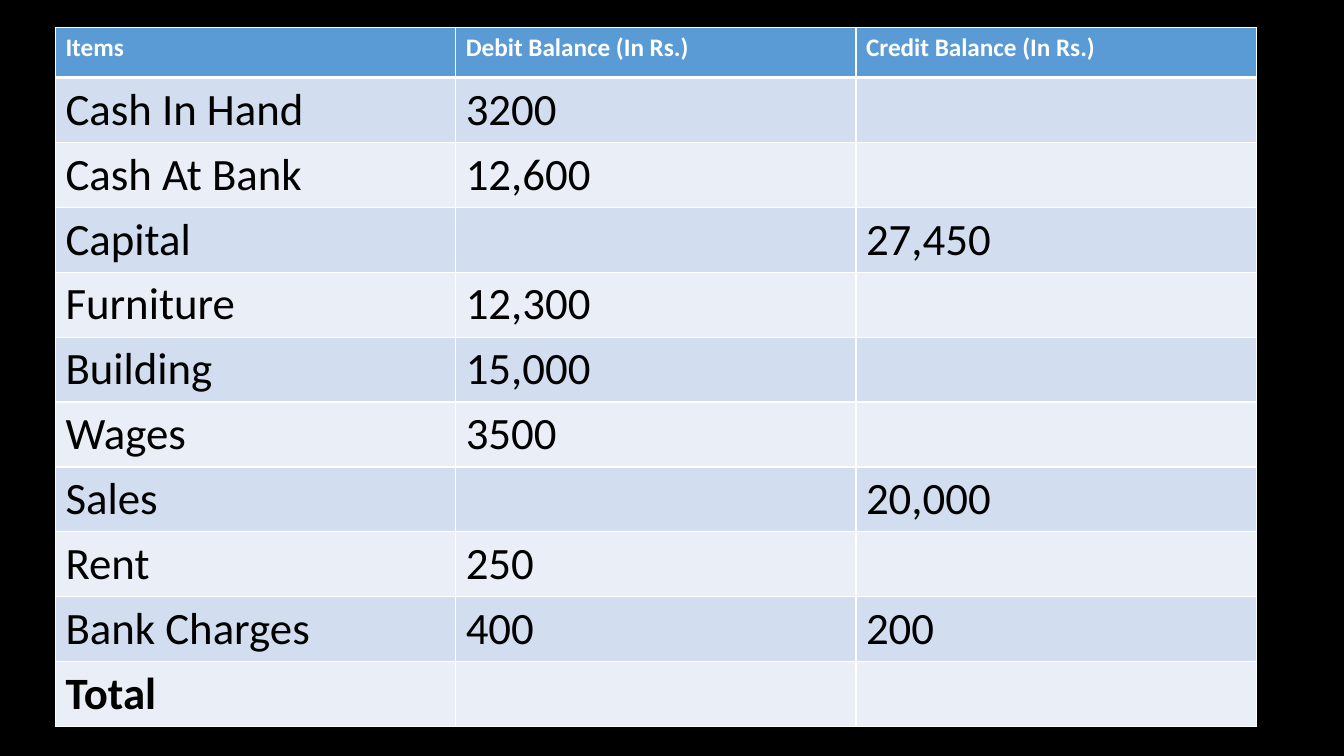
"""Builds a trial balance table slide on a black background."""
from lxml import etree
from pptx import Presentation
from pptx.dml.color import RGBColor
from pptx.oxml.ns import qn
from pptx.util import Inches, Pt

BLACK = RGBColor(0x00, 0x00, 0x00)
WHITE = RGBColor(0xFF, 0xFF, 0xFF)
HEADER_BLUE = RGBColor(0x5B, 0x9B, 0xD5)
BANDS = [RGBColor(0xEA, 0xEF, 0xF7), RGBColor(0xD2, 0xDE, 0xEF)]

BALANCES = [
    ("Items", "Debit Balance (In Rs.)", "Credit Balance (In Rs.)"),
    ("Cash In Hand", "3200", ""),
    ("Cash At Bank", "12,600", ""),
    ("Capital", "", "27,450"),
    ("Furniture", "12,300", ""),
    ("Building", "15,000", ""),
    ("Wages", "3500", ""),
    ("Sales", "", "20,000"),
    ("Rent", "250", ""),
    ("Bank Charges", "400", "200"),
    ("Total", "", ""),
]
HEADER_HEIGHT, ROW_HEIGHT, COL_WIDTH = 0.5, 0.64, 3.97
TOTAL_ROW = len(BALANCES) - 1


def add_border(cell, side, width):
    ln = etree.SubElement(cell._tc.get_or_add_tcPr(), qn(f"a:ln{side}"), w=str(Pt(width)))
    fill = etree.SubElement(ln, qn("a:solidFill"))
    etree.SubElement(fill, qn("a:srgbClr"), val=str(WHITE))


prs = Presentation()
prs.slide_width, prs.slide_height = Inches(13.33), Inches(7.5)
s = prs.slides.add_slide(prs.slide_layouts[6])
s.background.fill.solid()
s.background.fill.fore_color.rgb = BLACK

table_height = HEADER_HEIGHT + TOTAL_ROW * ROW_HEIGHT
table = s.shapes.add_table(len(BALANCES), 3, Inches(0.55), Inches(0.27),
                           Inches(3 * COL_WIDTH), Inches(table_height)).table
for col in table.columns:
    col.width = Inches(COL_WIDTH)

for i, balance in enumerate(BALANCES):
    header = i == 0
    table.rows[i].height = Inches(HEADER_HEIGHT if header else ROW_HEIGHT)
    font_format = {"name": "Calibri", "size": Pt(18 if header else 32),
                   "bold": i in (0, TOTAL_ROW)}
    for j, text in enumerate(balance):
        cell = table.cell(i, j)
        borders = {"L": 1, "R": 1, "T": 3 if i == 1 else 1, "B": 3 if header else 1}
        for side, width in borders.items():
            add_border(cell, side, width)
        cell.fill.solid()
        cell.fill.fore_color.rgb = HEADER_BLUE if header else BANDS[i % 2]
        if text:
            r = cell.text_frame.paragraphs[0].add_run()
            r.text = text
            for name, value in font_format.items():
                setattr(r.font, name, value)
            r.font.color.rgb = WHITE if header else BLACK

prs.save("out.pptx")
